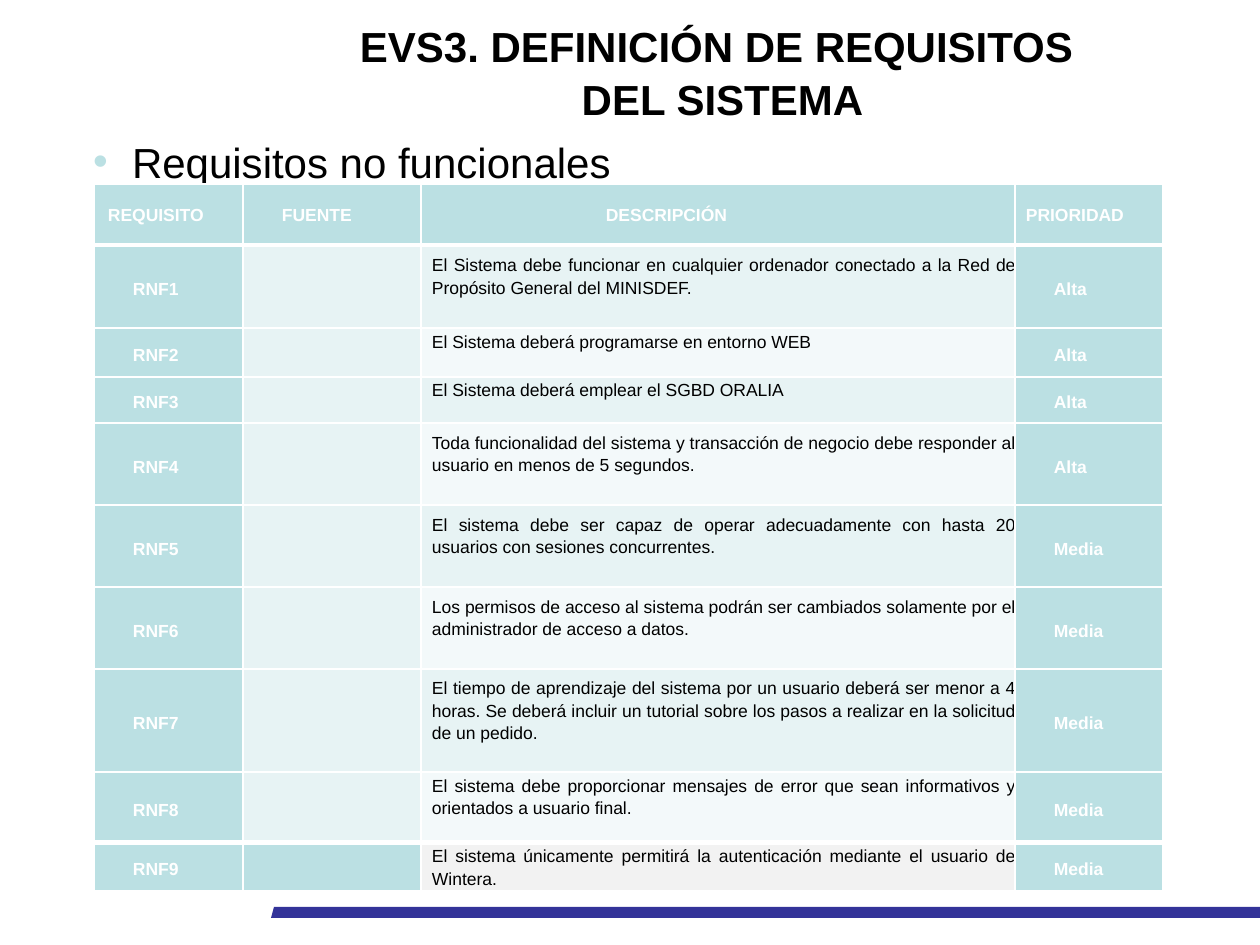
from dataclasses import dataclass

from lxml.etree import SubElement
from pptx import Presentation
from pptx.dml.color import RGBColor as Rgb
from pptx.enum.text import MSO_ANCHOR as Anchor, MSO_AUTO_SIZE as AutoSize, PP_ALIGN as Align
from pptx.oxml.ns import qn
from pptx.util import Pt


@dataclass(frozen=True)
class Theme:
    font: str = "Arial"
    heading_size: float = 24
    table_size: float = 10
    white: str = "FFFFFF"
    black: str = "000000"
    accent: str = "BBE0E3"
    band_dark: str = "E7F3F4"
    band_light: str = "F3F9FA"
    last_band: str = "F2F2F2"
    footer: str = "333399"


THEME = Theme()
PX_PER_INCH = 126
COLUMNS = (149, 178, 594, 148)
ROWS = (61, 83, 49, 44, 82, 82, 82, 103, 68, 44)
HEADINGS = ("REQUISITO", "FUENTE", "DESCRIPCIÓN", "PRIORIDAD")
HEADING_INDENTS = (14, 39, 185, 11)
LABEL_INDENT = 39
DESCRIPTION_INDENT = 11
LINE_GAP = 22
REQUIREMENTS = (
    ("El Sistema debe funcionar en cualquier ordenador conectado a la Red de Propósito General del MINISDEF.", "Alta"),
    ("El Sistema deberá programarse en entorno WEB", "Alta"),
    ("El Sistema deberá emplear el SGBD ORALIA", "Alta"),
    ("Toda funcionalidad del sistema y transacción de negocio debe responder al usuario en menos de 5 segundos.", "Alta"),
    ("El sistema debe ser capaz de operar adecuadamente con hasta 20 usuarios con sesiones concurrentes.", "Media"),
    ("Los permisos de acceso al sistema podrán ser cambiados solamente por el administrador de acceso a datos.", "Media"),
    ("El tiempo de aprendizaje del sistema por un usuario deberá ser menor a 4 horas. Se deberá incluir un "
     "tutorial sobre los pasos a realizar en la solicitud de un pedido.", "Media"),
    ("El sistema debe proporcionar mensajes de error que sean informativos y orientados a usuario final.", "Media"),
    ("El sistema únicamente permitirá la autenticación mediante el usuario de Wintera.", "Media"),
)


def px(length):
    return round(length * 914400 / PX_PER_INCH)


def set_margins(target, left=0, top=0, right=0, bottom=0):
    target.margin_left, target.margin_top = px(left), px(top)
    target.margin_right, target.margin_bottom = px(right), px(bottom)


def write(paragraph, text, size=THEME.heading_size, color=THEME.black, bold=False,
          align=Align.LEFT, spacing=1.0, before=0, indent=0, hanging=0):
    run = paragraph.add_run()
    run.text = text
    run.font.name, run.font.size, run.font.bold = THEME.font, Pt(size), bold
    run.font.color.rgb = Rgb.from_string(color)
    paragraph.alignment = align
    paragraph.line_spacing = spacing
    paragraph.space_before = Pt(before)
    properties = paragraph._p.get_or_add_pPr()
    properties.set("marL", str(px(indent)))
    properties.set("indent", str(px(-hanging)))


def add_bullet(paragraph, color):
    properties = paragraph._p.get_or_add_pPr()
    bullet_color = SubElement(properties, qn("a:buClr"))
    SubElement(bullet_color, qn("a:srgbClr"), val=color)
    SubElement(properties, qn("a:buFont"), typeface=THEME.font)
    SubElement(properties, qn("a:buChar"), char="•")


def add_borders(cell, top, bottom):
    properties = cell._tc.get_or_add_tcPr()
    for side, width in (("L", 1), ("R", 1), ("T", top), ("B", bottom)):
        border = SubElement(properties, qn(f"a:ln{side}"), w=str(Pt(width)))
        fill = SubElement(border, qn("a:solidFill"))
        SubElement(fill, qn("a:srgbClr"), val=THEME.white)


def add_footer(slide, left, top, width, height):
    outline = slide.shapes.build_freeform(px(left), px(top + height))
    outline.add_line_segments([
        (px(left + width), px(top + height)),
        (px(left + width), px(top)),
        (px(left + 3), px(top)),
    ])
    band = outline.convert_to_shape()
    band.shadow.inherit = False
    band.fill.solid()
    band.fill.fore_color.rgb = Rgb.from_string(THEME.footer)
    band.line.fill.background()


def place_title(slide, left, top, width, height):
    title = slide.shapes.title
    title.left, title.top, title.width, title.height = map(px, (left, top, width, height))
    title.fill.solid()
    title.fill.fore_color.rgb = Rgb.from_string(THEME.white)
    title.line.color.rgb = Rgb.from_string(THEME.white)
    title.line.width = Pt(1)
    frame = title.text_frame
    frame.auto_size, frame.word_wrap = AutoSize.NONE, False
    frame.vertical_anchor = Anchor.MIDDLE
    set_margins(frame, 6, 12, 6, 6)
    lines = (frame.paragraphs[0], frame.add_paragraph())
    for line, text in zip(lines, ("EVS3. DEFINICIÓN DE REQUISITOS ", "DEL SISTEMA")):
        write(line, text, bold=True, align=Align.CENTER, spacing=1.06)


def add_subtitle(slide, left, top, width, height):
    subtitle = slide.shapes.add_textbox(*map(px, (left, top, width, height)))
    frame = subtitle.text_frame
    frame.word_wrap = True
    set_margins(frame, 13, 6, 13, 6)
    paragraph = frame.paragraphs[0]
    write(paragraph, "Requisitos no funcionales", spacing=1.5, before=10, indent=60, hanging=39)
    add_bullet(paragraph, THEME.accent)


def fill_cell(cell, text, fill, top=1, bottom=1, gap=0, **text_format):
    add_borders(cell, top, bottom)
    cell.fill.solid()
    cell.fill.fore_color.rgb = Rgb.from_string(fill)
    cell.vertical_anchor = Anchor.MIDDLE
    set_margins(cell, bottom=gap)
    write(cell.text_frame.paragraphs[0], text, size=THEME.table_size,
          align=Align.JUSTIFY, **text_format)


def add_requirements(slide, left, top):
    table = slide.shapes.add_table(
        len(ROWS), len(COLUMNS), px(left), px(top), px(sum(COLUMNS)), px(sum(ROWS))).table
    table.first_row = table.horz_banding = False
    for column, width in zip(table.columns, COLUMNS):
        column.width = px(width)
    for row, height in zip(table.rows, ROWS):
        row.height = px(height)

    for index, (heading, indent) in enumerate(zip(HEADINGS, HEADING_INDENTS)):
        fill_cell(table.cell(0, index), heading, THEME.accent, bottom=3, indent=indent,
                  color=THEME.white, bold=True, spacing=1.15, before=4.8)

    label = dict(color=THEME.white, bold=True, spacing=Pt(14.5), indent=LABEL_INDENT)
    last = len(REQUIREMENTS)
    for number, (description, priority) in enumerate(REQUIREMENTS, 1):
        is_last = number == last
        edges = dict(top=3 if number in (1, last) else 1, bottom=3 if number == last - 1 else 1)
        band = THEME.last_band if is_last else THEME.band_dark if number % 2 else THEME.band_light
        source_fill = THEME.accent if is_last else THEME.band_dark
        name_cell, source_cell, description_cell, priority_cell = table.rows[number].cells
        fill_cell(name_cell, f"RNF{number}", THEME.accent, **edges, **label)
        fill_cell(source_cell, "", source_fill, **edges)
        fill_cell(description_cell, description, band, gap=0 if is_last else LINE_GAP,
                  spacing=1.15, indent=DESCRIPTION_INDENT, **edges)
        fill_cell(priority_cell, priority, THEME.accent, **edges, **label)


def main():
    deck = Presentation()
    deck.slide_width, deck.slide_height = px(1260), px(945)
    slide = deck.slides.add_slide(deck.slide_layouts[5])
    add_footer(slide, 271, 907, 989, 11)
    place_title(slide, 281, 20, 883, 95)
    add_subtitle(slide, 59, 105, 1017, 81)
    add_requirements(slide, 94, 184)
    deck.save("out.pptx")


if __name__ == "__main__":
    main()
